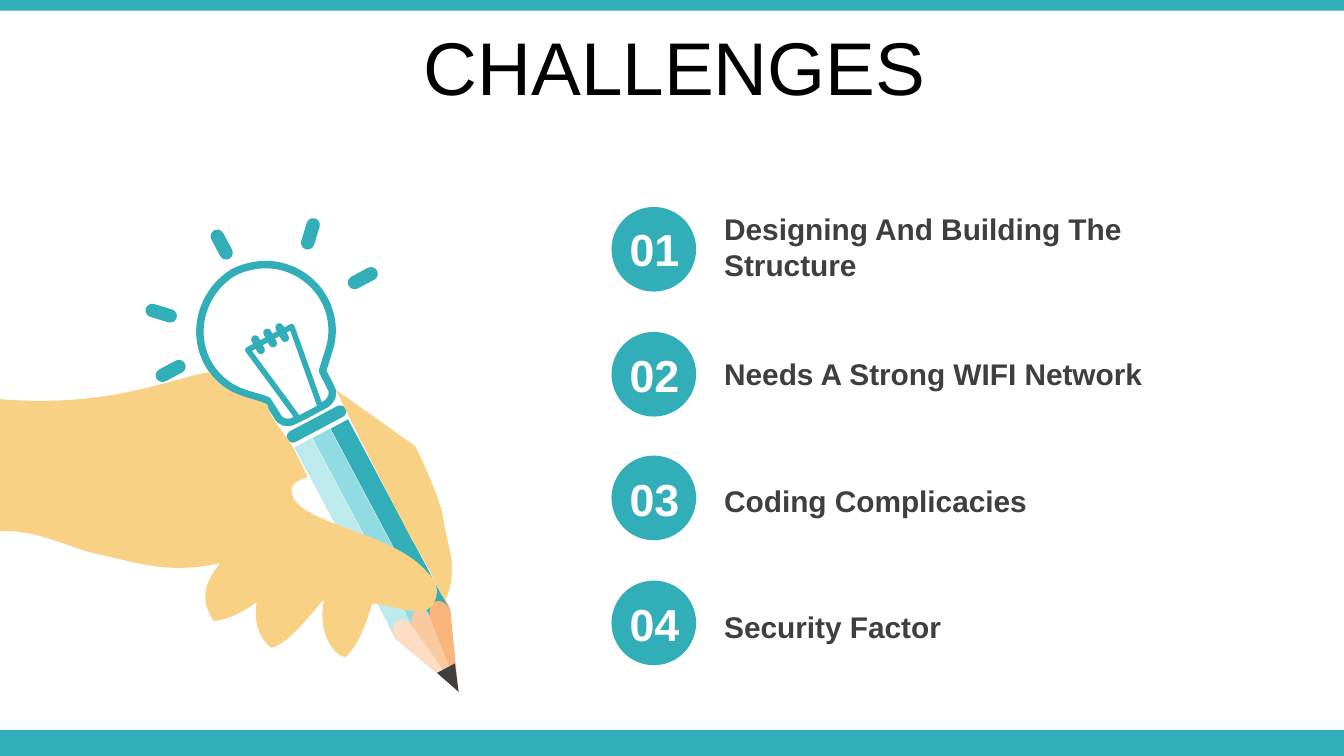
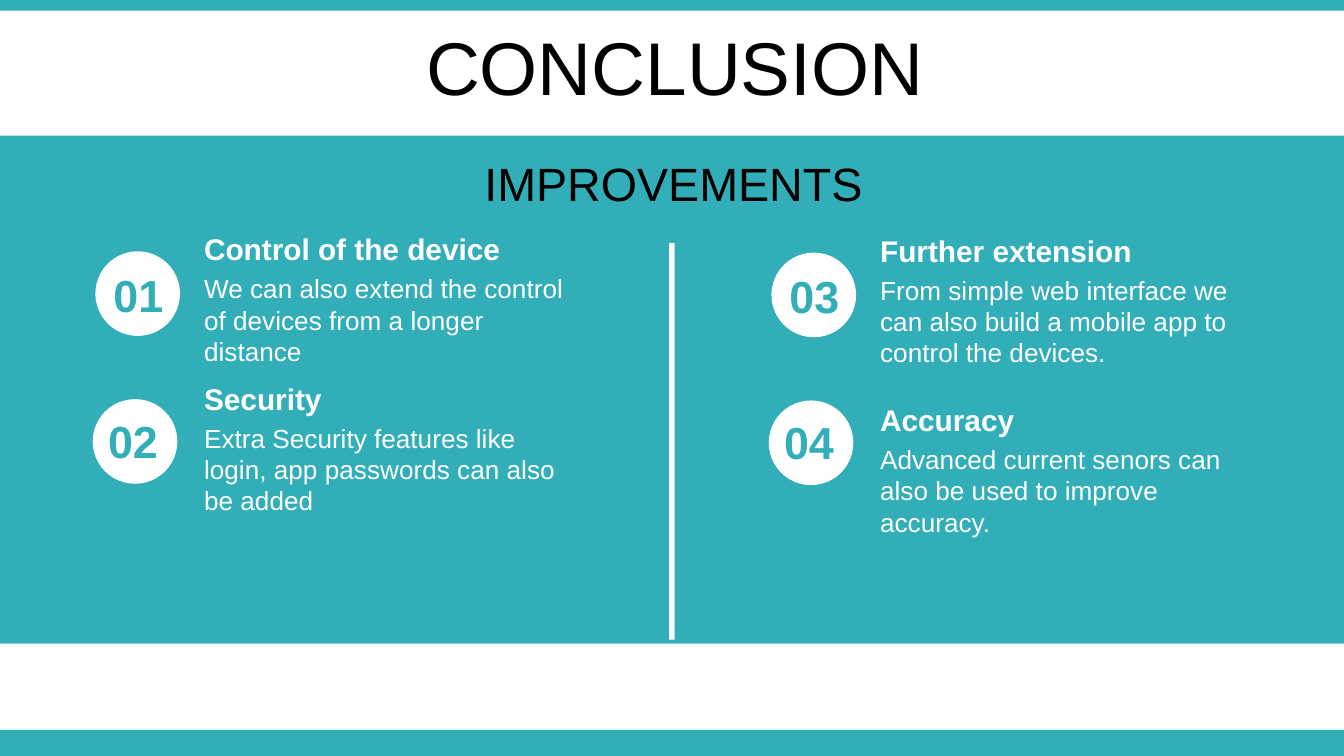
from lxml import etree
from pptx import Presentation
from pptx.dml.color import RGBColor
from pptx.enum.shapes import MSO_SHAPE
from pptx.enum.text import MSO_ANCHOR, PP_ALIGN
from pptx.oxml.ns import qn
from pptx.util import Cm, Pt

RECT = MSO_SHAPE.RECTANGLE
OVAL = MSO_SHAPE.OVAL
PILL = MSO_SHAPE.ROUNDED_RECTANGLE
TRIANGLE = MSO_SHAPE.ISOSCELES_TRIANGLE
TRAPEZOID = MSO_SHAPE.TRAPEZOID
LEFT, CENTER = PP_ALIGN.LEFT, PP_ALIGN.CENTER
TOP, MIDDLE = MSO_ANCHOR.TOP, MSO_ANCHOR.MIDDLE

TEAL = "32AEB8"
WHITE = "FFFFFF"
BLACK = "000000"
DARK = "3F3F3F"
SKIN = "F8D185"

TITLE = {"size": Pt(40), "bold": False}
SUBTITLE = {"size": Pt(25), "bold": False}
NUMBER = {"size": Pt(24), "bold": True}
HEADING = {"size": Pt(16), "bold": True}
BODY = {"size": Pt(14), "bold": False}

WIDTH, HEIGHT = 10, 5.625
BADGE = 0.63

CHALLENGES = [
    ("Designing And Building The Structure", 1.52, 1.54),
    ("Needs A Strong WIFI Network", 2.6, 2.47),
    ("Coding Complicacies", 3.54, 3.39),
    ("Security Factor", 4.48, 4.32),
]

IMPROVEMENTS = [
    ("Control of the device",
     "We can also extend the control of devices from a longer distance", 1.67),
    ("Security",
     "Extra Security features like login, app passwords can also be added", 2.78),
    ("Further extension",
     "From simple web interface we can also build a mobile app to control the devices.", 1.68),
    ("Accuracy",
     "Advanced current senors can also be used to improve accuracy.", 2.94),
]

PENCIL_TIP = [
    ("F9B57C", [(2.89, 4.65), (3.3, 4.43), (3.35, 4.53), (3.41, 5.14), (2.94, 4.75)]),
    ("FBC9A0", [(3.02, 4.57), (3.16, 4.5), (3.19, 4.57), (3.41, 5.14), (3.07, 4.67)]),
    ("FDDEC5", [(2.89, 4.65), (3.02, 4.58), (3.04, 4.6, 3.05, 4.62, 3.06, 4.65),
                (3.4, 5.13), (2.94, 4.75)]),
]
PENCIL_STRIPE = [
    (2.19, 3.33), (2.32, 3.26), (3.06, 4.65),
    (3.03, 4.61, 2.99, 4.6, 2.96, 4.62),
    (2.93, 4.63, 2.92, 4.68, 2.93, 4.72),
]
PENCIL_COLORS = ["BCEAED", "90DCE2", TEAL]

BULB = [
    (1.75, 2.02),
    (1.86, 1.97, 1.99, 1.95, 2.12, 1.99),
    (2.38, 2.07, 2.53, 2.34, 2.45, 2.6),
    (2.4, 2.76), (2.46, 2.88),
    (2.49, 2.93, 2.47, 2.98, 2.42, 3.01),
    (2.31, 3.07), (2.19, 3.13),
    (2.14, 3.16, 2.08, 3.14, 2.06, 3.09),
    (1.99, 2.98),
    (1.94, 2.96, 1.89, 2.95, 1.83, 2.93),
    (1.57, 2.85, 1.43, 2.58, 1.51, 2.32),
    (1.55, 2.19, 1.64, 2.08, 1.75, 2.02),
]
RAYS = [(2.26, 1.62, 17), (1.15, 2.21, 287), (1.6, 1.7, 332),
        (2.65, 1.95, 62), (1.22, 2.64, 242)]
COILS = [(1.89, 2.49), (1.98, 2.44), (2.07, 2.4)]

FINGER = [
    (2.5, 2.9), (3.09, 3.32),
    (3.17, 3.48, 3.25, 3.67, 3.29, 3.81),
    (3.31, 3.95, 3.34, 4.05, 3.36, 4.16),
    (3.37, 4.26, 3.36, 4.39, 3.31, 4.46),
    (3.26, 4.39, 3.22, 4.26, 3.06, 4.01),
    (2.93, 3.75, 2.64, 3.2, 2.5, 2.9),
]
PALM = [
    (1.56, 2.77),
    (1.67, 2.95, 1.9, 2.96, 1.99, 3.01),
    (2, 3.1, 2.13, 3.24, 2.17, 3.31),
    (2.22, 3.4, 2.25, 3.47, 2.29, 3.55),
    (2.22, 3.57, 2.16, 3.6, 2.17, 3.66),
    (2.19, 3.9, 2.93, 3.95, 3.18, 4.26),
    (3.31, 4.36, 3.24, 4.54, 3.14, 4.55),
    (3, 4.55, 2.95, 4.51, 2.77, 4.49),
    (2.71, 4.69, 2.65, 4.82, 2.57, 4.89),
    (2.5, 4.88, 2.36, 4.74, 2.41, 4.46),
    (2.31, 4.57, 2.16, 4.78, 2.02, 4.82),
    (1.91, 4.74, 1.89, 4.59, 1.91, 4.48),
    (1.83, 4.54, 1.71, 4.61, 1.59, 4.62),
    (1.46, 4.43, 1.56, 4.29, 1.64, 4.19),
    (1.28, 4.27, 1.06, 4.2, 0.76, 4.13),
    (0.53, 4.09, 0.31, 3.94, -0.02, 3.95),
    (0, 2.97),
    (0.83, 3.04, 1.31, 2.8, 1.56, 2.77),
]


def rgb(color):
    return RGBColor.from_string(color)


def length(inches):
    return Cm(inches * 2.54)


def shift(outline, dx, dy):
    return [tuple(v + (dy if i % 2 else dx) for i, v in enumerate(segment))
            for segment in outline]


def bend(sp, segments):
    lines = list(sp._element.iter(qn("a:lnTo")))
    for line, segment in zip(lines, segments):
        if len(segment) == 6:
            line.tag = qn("a:cubicBezTo")
            for i in (0, 1):
                x, y = segment[2 * i:2 * i + 2]
                pt = etree.Element(qn("a:pt"), x=str(length(x) - sp.left),
                                   y=str(length(y) - sp.top))
                line.insert(i, pt)


class Deck:
    font = "Arial"

    def __init__(self):
        self.prs = Presentation()
        self.prs.slide_width = length(WIDTH)
        self.prs.slide_height = length(HEIGHT)
        self.s = None

    def slide(self, title):
        self.s = self.prs.slides.add_slide(self.prs.slide_layouts[6])
        self.shape(RECT, 0, 5.43, WIDTH, HEIGHT - 5.43, TEAL)
        self.shape(RECT, 0, 0, WIDTH, 0.08, TEAL)
        self.banner(title, 0.16, WIDTH, TITLE)

    def paint(self, sp, fill, line=None, weight=0):
        sp.shadow.inherit = False
        sp.fill.solid()
        sp.fill.fore_color.rgb = rgb(fill)
        if line:
            sp.line.color.rgb = rgb(line)
            sp.line.width = Pt(weight)
        else:
            sp.line.fill.background()

    def shape(self, kind, x, y, w, h, fill, rotation=0, line=None, weight=0):
        sp = self.s.shapes.add_shape(kind, *map(length, (x, y, w, h)))
        sp.rotation = rotation
        if kind == PILL:
            sp.adjustments[0] = 0.5
        self.paint(sp, fill, line, weight)

    def freeform(self, outlines, fill, line=None, weight=0):
        contours = [[tuple(map(length, segment[-2:])) for segment in outline]
                    for outline in outlines]
        builder = self.s.shapes.build_freeform(*contours[0][0], scale=1.0)
        for i, points in enumerate(contours):
            if i:
                builder.move_to(*points[0])
            builder.add_line_segments(points[1:], close=True)
        sp = builder.convert_to_shape()
        bend(sp, [segment for outline in outlines for segment in outline[1:]])
        self.paint(sp, fill, line, weight)

    def text(self, x, y, w, h, text, style, color, align=LEFT, anchor=TOP, inset=0.05):
        tf = self.s.shapes.add_textbox(*map(length, (x, y, w, h))).text_frame
        frame = {"word_wrap": True, "vertical_anchor": anchor,
                 "margin_left": length(0.1), "margin_right": length(0.1),
                 "margin_top": length(inset), "margin_bottom": length(inset)}
        p = tf.paragraphs[0]
        p.alignment = align
        r = p.add_run()
        r.text = text
        for target, values in ((tf, frame), (r.font, {"name": self.font, **style})):
            for name, value in values.items():
                setattr(target, name, value)
        r.font.color.rgb = rgb(color)

    def banner(self, text, y, w, style):
        self.text(0.02, y, w, 0.66, text, style, BLACK, CENTER, MIDDLE, 0.1)

    def badge(self, x, y, number, fill, color, dx=-0.03, dy=0.07):
        self.shape(OVAL, x, y, BADGE, BADGE, fill)
        self.text(x + dx, y + dy, 0.7, 0.5, f"{number:02}", NUMBER, color, CENTER)


def draw_pencil_hand(deck):
    for color, outline in PENCIL_TIP:
        deck.freeform([outline], color)
    for i, color in enumerate(PENCIL_COLORS):
        deck.freeform([shift(PENCIL_STRIPE, 0.135 * i, -0.07 * i)], color)
    deck.shape(TRIANGLE, 3.29, 4.96, 0.15, 0.2, DARK, 152)
    deck.freeform([BULB], WHITE, TEAL, 4)
    deck.shape(TRAPEZOID, 1.97, 2.48, 0.37, 0.63, WHITE, 152, TEAL, 3)
    for x, y, rotation in RAYS:
        deck.shape(PILL, x, y, 0.1, 0.24, TEAL, rotation)
    deck.shape(PILL, 2.11, 3.11, 0.49, 0.09, TEAL, 332)
    for x, y in COILS:
        deck.shape(PILL, x, y, 0.06, 0.15, TEAL, 332)
    deck.freeform([FINGER, PALM], SKIN)


def challenges(deck):
    deck.slide("CHALLENGES")
    draw_pencil_hand(deck)
    for number, (label, top, badge_top) in enumerate(CHALLENGES, 1):
        deck.badge(4.55, badge_top, number, TEAL, WHITE, dy=0.06 if number == 1 else 0.07)
        deck.text(5.29, top, 4.02, 0.34, label, HEADING, DARK)


def conclusion(deck):
    deck.slide("CONCLUSION")
    deck.shape(RECT, 0, 1.01, WIDTH, 3.78, TEAL)
    for i, (heading, body, top) in enumerate(IMPROVEMENTS):
        column, row = divmod(i, 2)
        left = 5.03 * column
        deck.badge(left + 0.71 - 0.02 * row, 1.87 + 0.01 * column + 1.1 * row,
                   i + 1, WHITE, TEAL, -0.03 - 0.02 * row, 0.07 - 0.01 * row)
        deck.text(left + 1.42, top + 0.31, 2.91, 0.71, body, BODY, WHITE)
        deck.text(left + 1.42, top, 2.91, 0.34, heading, HEADING, WHITE)
    deck.shape(RECT, 4.98, 1.81, 0.04, 2.95, WHITE)
    deck.banner("IMPROVEMENTS", 1.03, 9.98, SUBTITLE)


def main():
    deck = Deck()
    challenges(deck)
    conclusion(deck)
    deck.prs.save("out.pptx")


if __name__ == "__main__":
    main()
